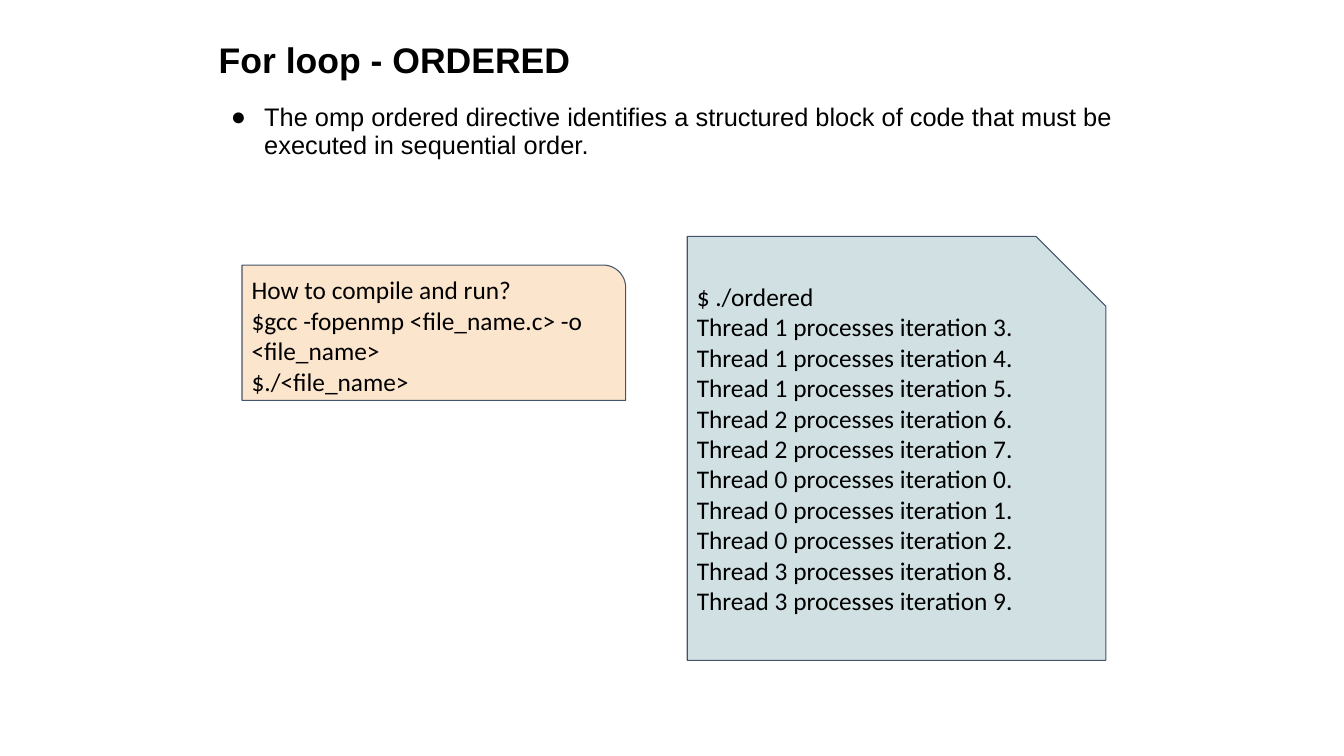
from lxml import etree
from pptx import Presentation
from pptx import util as u
from pptx.dml.color import RGBColor
from pptx.enum import shapes, text
from pptx.oxml.ns import qn

COLORS = {"text": "000000", "outline": "44546A", "compile": "FCE5CD", "output": "D0E0E3"}
BODY_SIZE = 18.1
COMPILE_STEPS = [
    "How to compile and run?",
    "$gcc -fopenmp <file_name.c> -o <file_name>",
    "$./<file_name>",
]
ITERATIONS_BY_THREAD = [(1, (3, 4, 5)), (2, (6, 7)), (0, (0, 1, 2)), (3, (8, 9))]


def rgb(name):
    return RGBColor.from_string(COLORS[name])


def fill_text(sp, lines, font, size, inset, anchor, bold=False):
    tf = sp.text_frame
    tf.word_wrap = True
    tf.vertical_anchor = anchor
    tf.margin_left = tf.margin_right = tf.margin_top = tf.margin_bottom = u.Cm(inset)
    tf.text = "\n".join(lines)
    for p in tf.paragraphs:
        p.alignment = text.PP_ALIGN.LEFT
        for r in p.runs:
            r.font.name = font
            r.font.size = u.Pt(size)
            r.font.bold = bold
            r.font.color.rgb = rgb("text")


def add_text(slide, box, line, size, anchor, bold=False):
    sp = slide.shapes.add_textbox(*map(u.Cm, box))
    fill_text(sp, [line], "Arial", size, 0, anchor, bold)
    p = sp.text_frame.paragraphs[0]
    p.line_spacing = 0.9
    return p


def add_bullet(p, indent, hanging):
    pPr = p._p.get_or_add_pPr()
    pPr.set("marL", str(u.Cm(indent)))
    pPr.set("indent", str(-u.Cm(hanging)))
    color = etree.SubElement(pPr, qn("a:buClr"))
    etree.SubElement(color, qn("a:srgbClr"), val=COLORS["text"])
    etree.SubElement(pPr, qn("a:buFont"), typeface="Arial")
    etree.SubElement(pPr, qn("a:buChar"), char="●")


def add_terminal(slide, preset, box, fill, lines):
    """Add an outlined card that shows terminal text."""
    sp = slide.shapes.add_shape(preset, *map(u.Cm, box))
    sp.adjustments[0] = 0.16667
    sp.shadow.inherit = False
    sp.fill.solid()
    sp.fill.fore_color.rgb = rgb(fill)
    sp.line.color.rgb = rgb("outline")
    sp.line.width = u.Pt(0.75)
    fill_text(sp, lines, "Calibri", BODY_SIZE, 0.24, text.MSO_ANCHOR.TOP)


def main():
    prs = Presentation()
    prs.slide_width, prs.slide_height = u.Cm(33.87), u.Cm(19.05)
    slide = prs.slides.add_slide(prs.slide_layouts[6])

    add_text(slide, (5.51, 0.76, 22.86, 1.63), "For loop - ORDERED",
             25.4, text.MSO_ANCHOR.MIDDLE, bold=True)
    p = add_text(slide, (5.51, 2.64, 22.86, 15.14),
                 "The omp ordered directive identifies a structured block of code "
                 "that must be executed in sequential order.",
                 BODY_SIZE, text.MSO_ANCHOR.TOP)
    add_bullet(p, 1.15, 0.84)

    add_terminal(slide, shapes.MSO_SHAPE.ROUND_1_RECTANGLE, (6.1, 6.68, 9.67, 3.41),
                 "compile", COMPILE_STEPS)
    output = ["$ ./ordered"] + [
        f"Thread {thread} processes iteration {i}."
        for thread, iterations in ITERATIONS_BY_THREAD for i in iterations
    ]
    add_terminal(slide, shapes.MSO_SHAPE.SNIP_1_RECTANGLE, (17.32, 5.96, 10.55, 10.68),
                 "output", output)

    prs.save("out.pptx")


if __name__ == "__main__":
    main()
